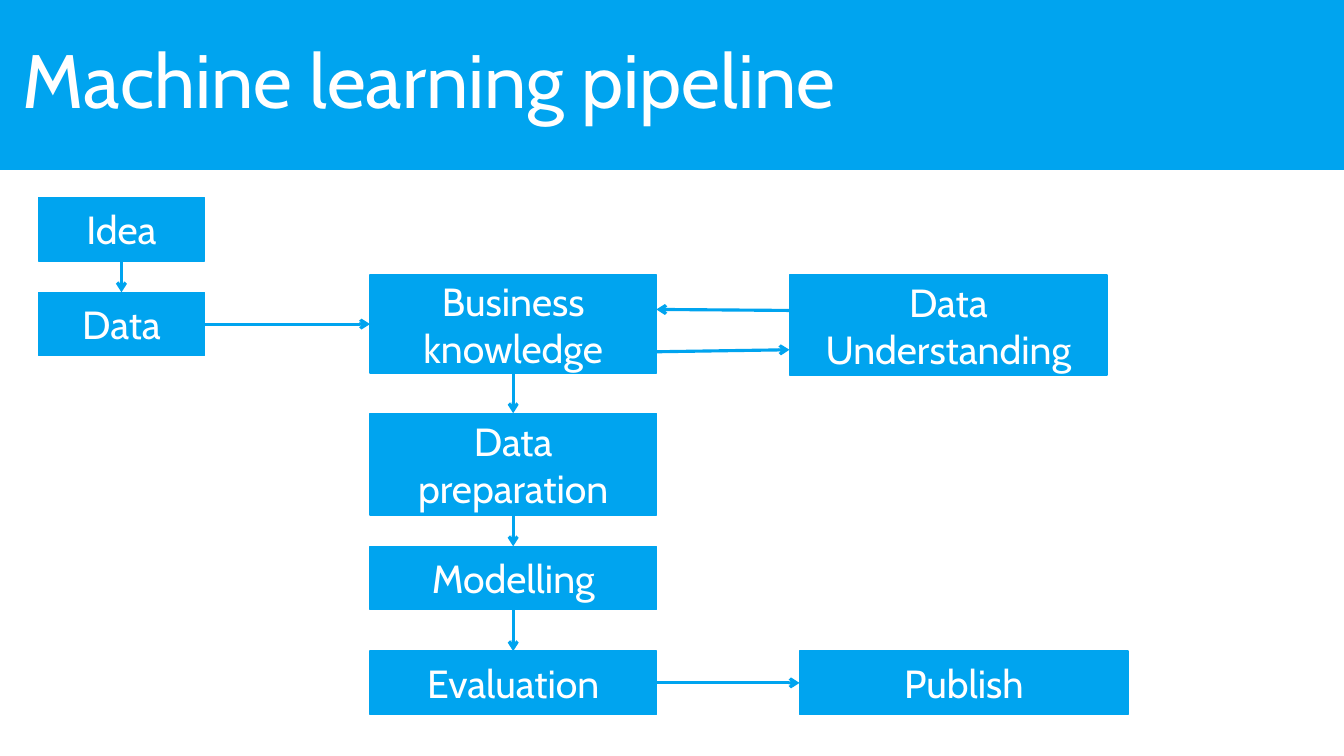
from pptx import Presentation
from pptx import util as u
from pptx.dml.color import RGBColor
from pptx.enum import shapes, text
from pptx.oxml.ns import qn
from lxml import etree

BLUE = RGBColor(0x00, 0xA4, 0xEF)
WHITE = RGBColor(0xFF, 0xFF, 0xFF)
FONT = "Cabin"
SLIDE_W, SLIDE_H = 13.33, 7.5
BANNER_H = 1.68
STEP_H = 0.63
TOP, LEFT, BOTTOM, RIGHT = range(4)  # connection sites of a rectangle

# Columns: left, width
START = (0.38, 1.65)
CORE = (3.67, 2.84)
INSIGHT = (7.83, 3.15)
RELEASE = (7.93, 3.26)

# Label: column, top, height
STEPS = {
    "Idea": (START, 1.96, STEP_H),
    "Data": (START, 2.9, STEP_H),
    "Business knowledge": (CORE, 2.73, 0.97),
    "Data Understanding": (INSIGHT, 2.73, 0.99),
    "Data preparation": (CORE, 4.1, 1.01),
    "Modelling": (CORE, 5.42, STEP_H),
    "Evaluation": (CORE, 6.46, STEP_H),
    "Publish": (RELEASE, 6.46, STEP_H),
}

FLOW = [
    ("Idea", BOTTOM, "Data", TOP),
    ("Data", RIGHT, "Business knowledge", LEFT),
    ("Business knowledge", BOTTOM, "Data preparation", TOP),
    ("Data preparation", BOTTOM, "Modelling", TOP),
    ("Modelling", BOTTOM, "Evaluation", TOP),
    ("Evaluation", RIGHT, "Publish", LEFT),
]

CORE_EDGE = sum(CORE)
FEEDBACK = [
    ((INSIGHT[0], 3.08), (CORE_EDGE, 3.07)),
    ((CORE_EDGE, 3.49), (INSIGHT[0], 3.47)),
]


def inches(*lengths):
    return [u.Inches(length) for length in lengths]


def write(frame, wording, size, align):
    frame.word_wrap = True
    frame.vertical_anchor = text.MSO_ANCHOR.MIDDLE
    paragraph = frame.paragraphs[0]
    paragraph.alignment = align
    run = paragraph.add_run()
    run.text = wording
    run.font.size = u.Pt(size)
    run.font.name = FONT
    run.font.color.rgb = WHITE
    return paragraph


def add_block(slide, left, top, width, height):
    block = slide.shapes.add_shape(
        shapes.MSO_SHAPE.RECTANGLE, *inches(left, top, width, height))
    block.shadow.inherit = False
    block.fill.solid()
    block.fill.fore_color.rgb = BLUE
    block.line.color.rgb = BLUE
    block.line.width = u.Pt(1)
    return block


def add_step(slide, label, column, top, height):
    left, width = column
    step = add_block(slide, left, top, width, height)
    write(step.text_frame, label, 28, text.PP_ALIGN.CENTER)
    return step


def add_arrow(slide, start=(0, 0), end=(0, 0)):
    arrow = slide.shapes.add_connector(
        shapes.MSO_CONNECTOR.STRAIGHT, *inches(*start, *end))
    arrow.line.color.rgb = BLUE
    arrow.line.width = u.Pt(2.25)
    etree.SubElement(arrow.line._get_or_add_ln(), qn("a:tailEnd"), type="arrow")
    etree.SubElement(arrow._element.spPr, qn("a:effectLst"))
    return arrow


def add_title(slide, wording):
    add_block(slide, 0, 0, SLIDE_W, BANNER_H)
    title = slide.shapes.add_textbox(*inches(0.13, 0.11, 11.5, 1.45))
    paragraph = write(title.text_frame, wording, 54, text.PP_ALIGN.LEFT)
    paragraph.line_spacing = 0.9


def main():
    deck = Presentation()
    deck.slide_width, deck.slide_height = inches(SLIDE_W, SLIDE_H)
    slide = deck.slides.add_slide(deck.slide_layouts[6])

    add_title(slide, "Machine learning pipeline")
    steps = {label: add_step(slide, label, *place)
             for label, place in STEPS.items()}
    for source, exit_side, target, entry_side in FLOW:
        arrow = add_arrow(slide)
        arrow.begin_connect(steps[source], exit_side)
        arrow.end_connect(steps[target], entry_side)
    for start, end in FEEDBACK:
        add_arrow(slide, start, end)

    deck.save("out.pptx")


if __name__ == "__main__":
    main()
